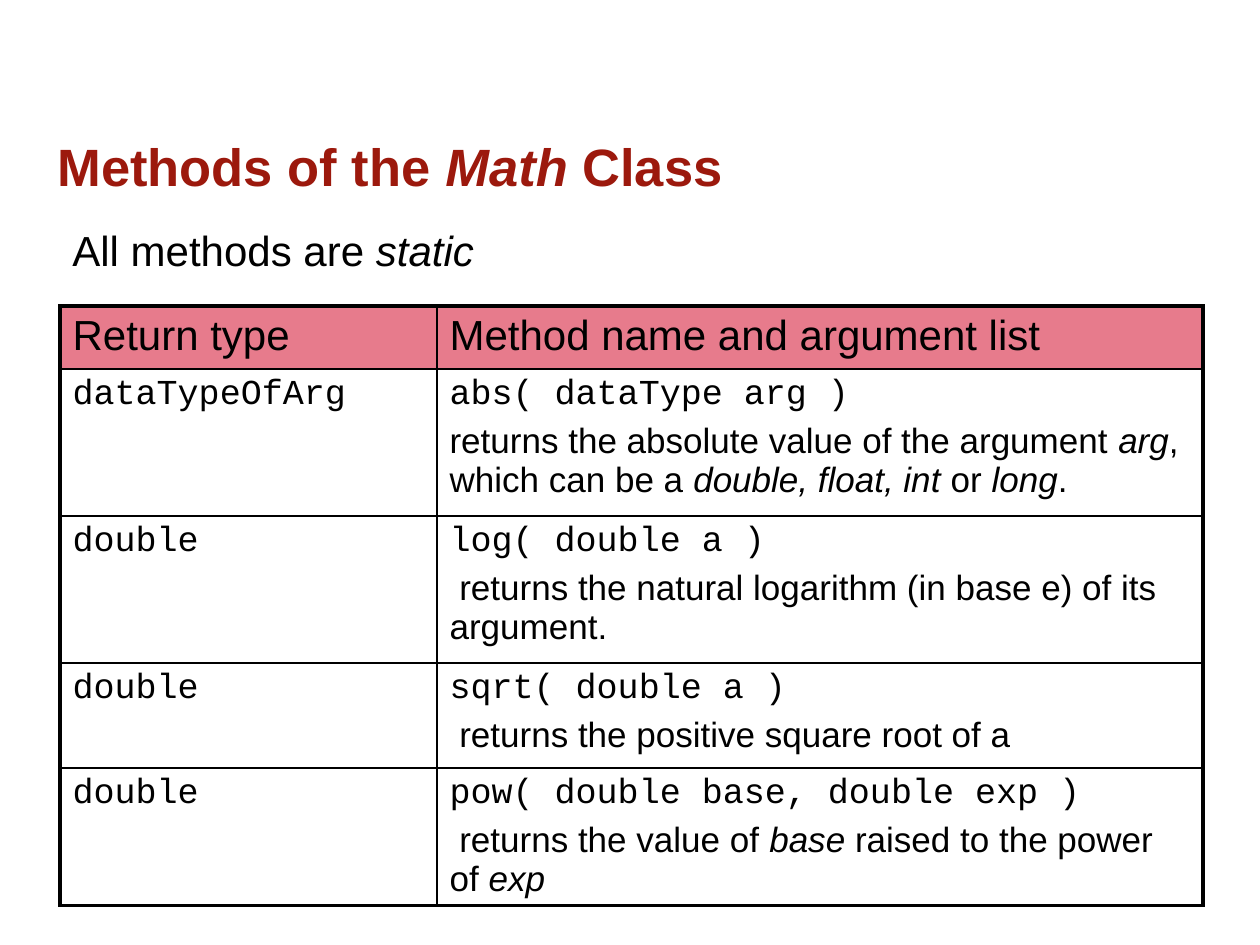
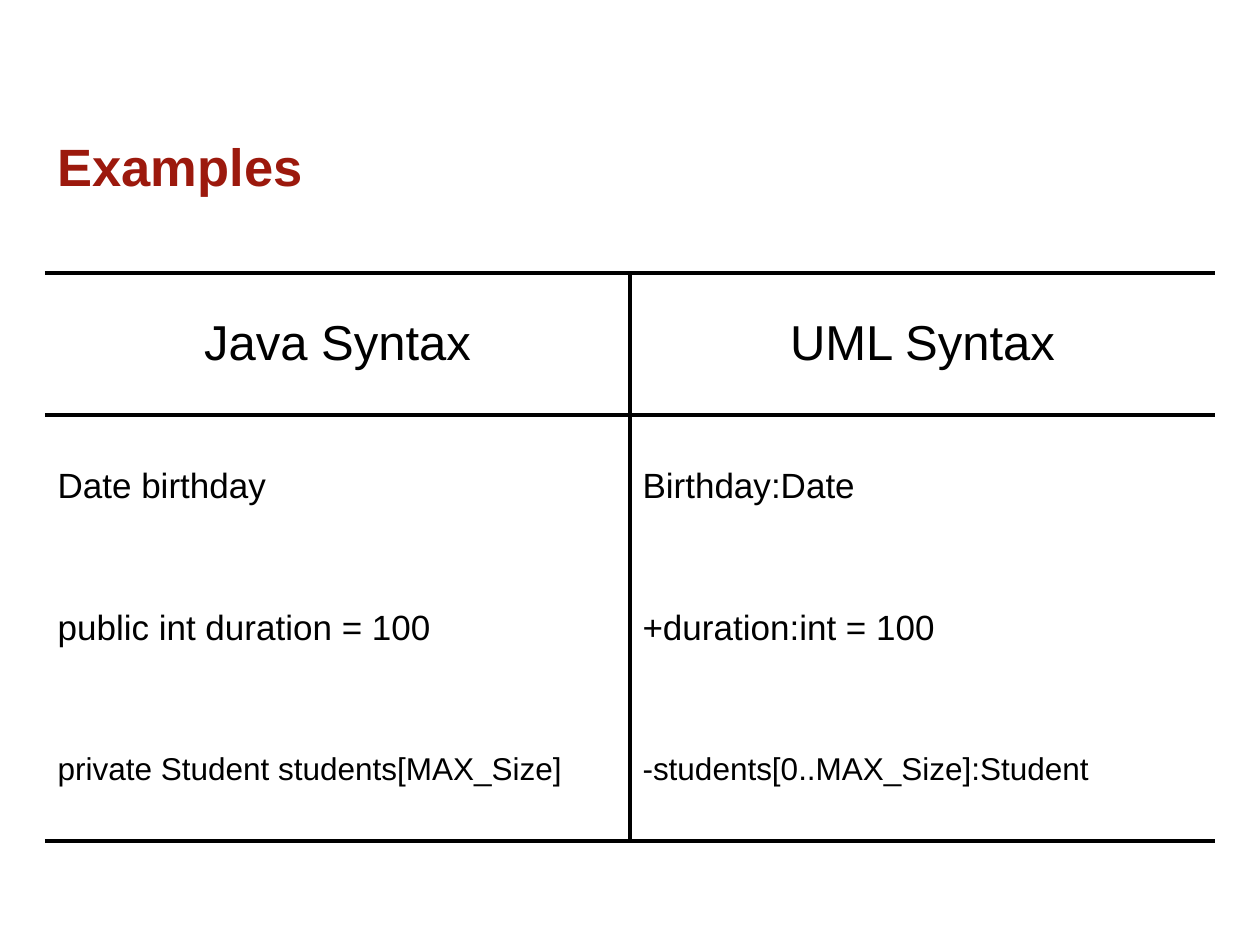
from lxml import etree
from pptx import Presentation
from pptx.dml.color import RGBColor
from pptx.enum.text import MSO_ANCHOR, MSO_AUTO_SIZE, PP_ALIGN
from pptx.oxml.ns import qn
from pptx.util import Emu, Pt

LEFT, CENTER = PP_ALIGN.LEFT, PP_ALIGN.CENTER
TOP, MIDDLE = MSO_ANCHOR.TOP, MSO_ANCHOR.MIDDLE
FIT_SHAPE, NO_FIT = MSO_AUTO_SIZE.SHAPE_TO_FIT_TEXT, MSO_AUTO_SIZE.NONE

# Shared look
PX_PER_INCH = 126
SLIDE_SIZE = (1260, 945)
TITLE_ONLY = 5
TITLE_BOX = (45, 125, 1170, 91)
RED, PINK, BLACK = "9C190D", "E77B8C", "000000"
THICK, THIN, NONE = 2.25, 1, 0

TITLE = {"size": 30, "bold": True, "color": RED}
LEAD = {"size": 24}
CODE = {"size": 20, "name": "Courier New"}
TEXT = {"size": 20}
SMALL = {"size": 18}
HEADING = {"size": 28, "align": CENTER}

# Slide content: *asterisks* mark italics
METHODS = [
    ("dataTypeOfArg", "abs( dataType arg )",
     "returns the absolute value of the argument *arg*, "
     "which can be a *double, float, int* or *long*."),
    ("double", "log( double a )",
     " returns the natural logarithm (in base e) of its argument."),
    ("double", "sqrt( double a )", " returns the positive square root of a"),
    ("double", "pow( double base, double exp )",
     " returns the value of *base* raised to the power of *exp*"),
]
EXAMPLES = [
    ("Java Syntax", "UML Syntax", HEADING),
    ("Date birthday", "Birthday:Date", TEXT),
    ("public int duration = 100", "+duration:int = 100", TEXT),
    ("private Student students[MAX_Size]", "-students[0..MAX_Size]:Student", SMALL),
]


def px(length):
    return Emu(round(length * 914400 / PX_PER_INCH))


def rgb(color):
    return RGBColor.from_string(color)


def set_all(target, values):
    for attribute, value in values.items():
        setattr(target, attribute, value)


def write_paragraph(paragraph, text, style):
    """Write text in one style, with the parts between asterisks in italics."""
    paragraph.alignment = style.get("align", LEFT)
    for index, part in enumerate(text.split("*")):
        if part:
            run = paragraph.add_run()
            run.text = part
            set_all(run.font, {
                "name": style.get("name", "Arial"),
                "size": Pt(style["size"]),
                "bold": style.get("bold", False),
                "italic": index % 2 == 1,
            })
            run.font.color.rgb = rgb(style.get("color", BLACK))


def add_titled_slide(prs, text):
    slide = prs.slides.add_slide(prs.slide_layouts[TITLE_ONLY])
    title = slide.shapes.title
    set_all(title, dict(zip(("left", "top", "width", "height"), map(px, TITLE_BOX))))
    set_all(title.text_frame, {"vertical_anchor": MIDDLE, "auto_size": NO_FIT})
    heading = title.text_frame.paragraphs[0]
    heading.line_spacing = 0.85
    write_paragraph(heading, text, TITLE)
    return slide


def add_lead(slide, text, box):
    frame = slide.shapes.add_textbox(*map(px, box)).text_frame
    set_all(frame, {"word_wrap": False, "auto_size": FIT_SHAPE})
    write_paragraph(frame.paragraphs[0], text, LEAD)


def set_borders(cell, left, right, top, bottom):
    """Draw the four cell borders, given their widths in points."""
    properties = cell._tc.get_or_add_tcPr()
    widths = {"a:lnL": left, "a:lnR": right, "a:lnT": top, "a:lnB": bottom}
    for position, (tag, width) in enumerate(widths.items()):
        line = etree.Element(qn(tag), w=str(Pt(width)))
        if width:
            fill = etree.SubElement(line, qn("a:solidFill"))
            etree.SubElement(fill, qn("a:srgbClr"), val=BLACK)
        else:
            etree.SubElement(line, qn("a:noFill"))
        properties.insert(position, line)


def fill_cell(cell, paragraphs, anchor, color):
    cell.vertical_anchor = anchor
    if color:
        cell.fill.solid()
        cell.fill.fore_color.rgb = rgb(color)
    else:
        cell.fill.background()
    for index, (text, style) in enumerate(paragraphs):
        frame = cell.text_frame
        paragraph = frame.add_paragraph() if index else frame.paragraphs[0]
        paragraph.space_before = Pt(0.2 * style["size"])
        write_paragraph(paragraph, text, style)


def add_ruled_table(slide, rows, origin, widths, heights, column_rules, row_rules,
                    anchor=TOP, header_color=None):
    """Add a table; the rules are line widths from left to right and top to bottom."""
    size = (sum(widths), sum(heights))
    table = slide.shapes.add_table(len(rows), len(widths),
                                   *map(px, origin + size)).table
    set_all(table, {"first_row": False, "horz_banding": False})
    for column, width in zip(table.columns, widths):
        column.width = px(width)
    for r, (row, height) in enumerate(zip(rows, heights)):
        table.rows[r].height = px(height)
        for c, paragraphs in enumerate(row):
            cell = table.cell(r, c)
            fill_cell(cell, paragraphs, anchor, None if r else header_color)
            set_borders(cell, *column_rules[c:c + 2], *row_rules[r:r + 2])


def add_methods_slide(prs):
    slide = add_titled_slide(prs, "Methods of the *Math *Class")
    header = [[("Return type", LEAD)], [("Method name and argument list", LEAD)]]
    body = [[[(returned, CODE)], [(signature, CODE), (meaning, TEXT)]]
            for returned, signature, meaning in METHODS]
    add_ruled_table(slide, [header] + body, (60, 306), (377, 766),
                    (63, 147, 147, 105, 137),
                    column_rules=(THICK, THIN, THICK),
                    row_rules=(THICK, THIN, THIN, THIN, THIN, THICK),
                    header_color=PINK)
    add_lead(slide, "All methods are *static*", (60, 218, 441, 63))


def add_examples_slide(prs):
    slide = add_titled_slide(prs, "Examples")
    rows = [[[(java, style)], [(uml, style)]] for java, uml, style in EXAMPLES]
    add_ruled_table(slide, rows, (45, 273), (585, 585), (142,) * len(rows),
                    column_rules=(NONE, THICK, NONE),
                    row_rules=(THICK, THICK, NONE, NONE, THICK),
                    anchor=MIDDLE)


def main():
    prs = Presentation()
    prs.slide_width, prs.slide_height = map(px, SLIDE_SIZE)
    add_methods_slide(prs)
    add_examples_slide(prs)
    prs.save("out.pptx")


if __name__ == "__main__":
    main()
